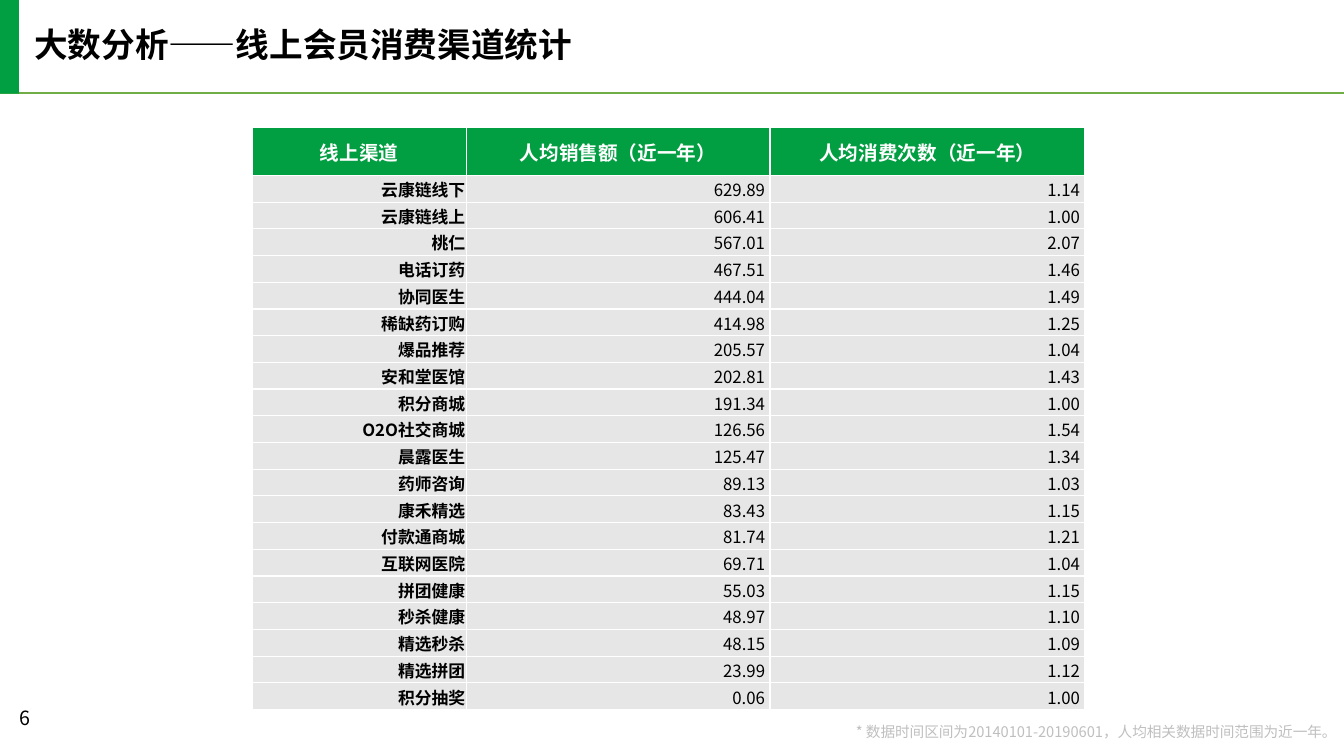
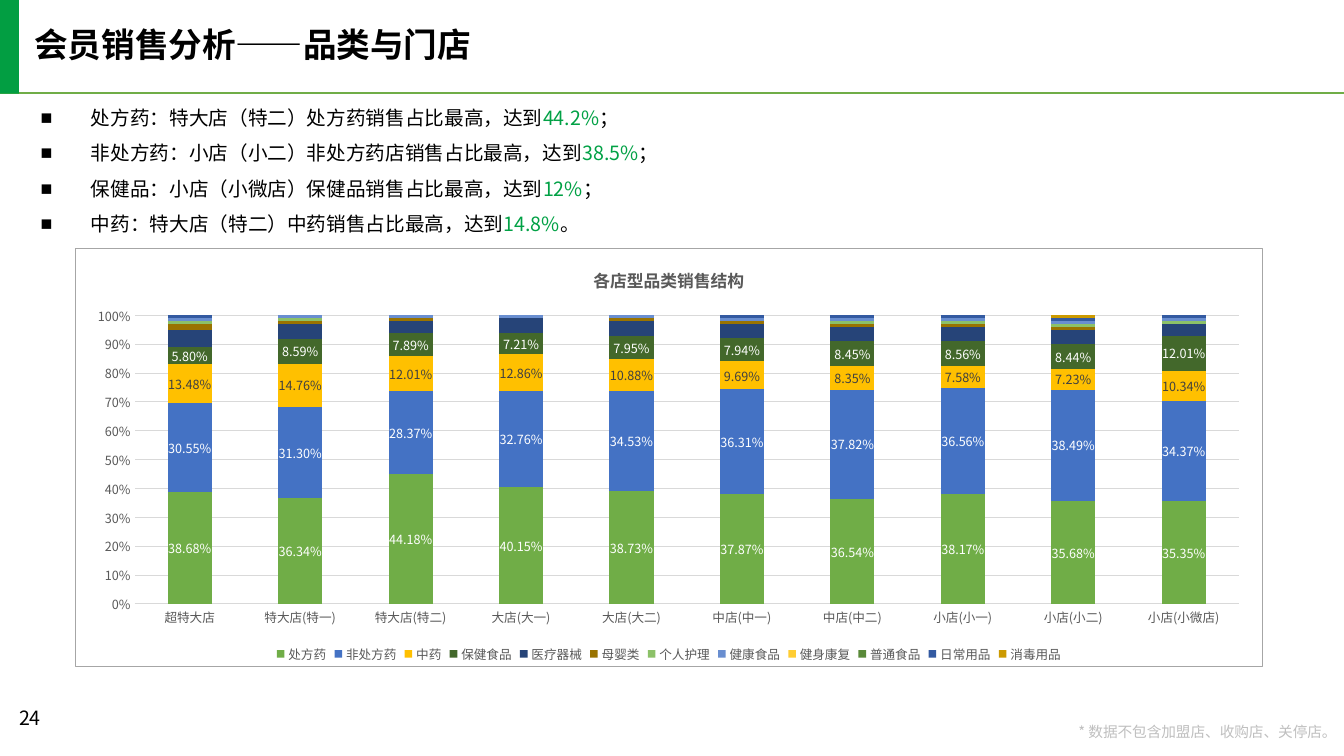
import dataclasses

import lxml.etree
import pptx
import pptx.chart.data
import pptx.dml.color
import pptx.enum.chart
import pptx.enum.shapes
import pptx.enum.text
import pptx.oxml
import pptx.oxml.ns
import pptx.util

Pt = pptx.util.Pt
rgb = pptx.dml.color.RGBColor.from_string
qn = pptx.oxml.ns.qn
align = pptx.enum.text.PP_ALIGN
anchor = pptx.enum.text.MSO_ANCHOR
autosize = pptx.enum.text.MSO_AUTO_SIZE


@dataclasses.dataclass(frozen=True)
class Theme:
    font: str = "Noto Sans CJK SC"
    green: str = "029E42"
    highlight: str = "01A145"
    rule: str = "70AD47"
    black: str = "000000"
    white: str = "FFFFFF"
    cell: str = "E7E6E6"
    note: str = "BFBFBF"
    label: str = "595959"
    dark_label: str = "404040"
    grid: str = "D9D9D9"
    frame: str = "A6A6A6"
    title_size: float = 24
    text_size: float = 14
    table_size: float = 12
    note_size: float = 10.5
    chart_size: float = 9


theme = Theme()
NO_INSETS = dict.fromkeys(("margin_left", "margin_top", "margin_right", "margin_bottom"), 0)


def style(font, size, colour, bold=False):
    for attribute, value in {"name": theme.font, "size": Pt(size), "bold": bold}.items():
        setattr(font, attribute, value)
    font.color.rgb = rgb(colour)
    latin = font._rPr.find(qn("a:latin"))
    east_asian = lxml.etree.Element(qn("a:ea"), typeface=theme.font)
    latin.addnext(east_asian)


def add_page(layout, heading, number, note, note_width):
    slide = deck.slides.add_slide(deck.slide_layouts[layout])

    rule = slide.shapes.add_connector(
        pptx.enum.shapes.MSO_CONNECTOR.STRAIGHT, 0, Pt(66.2), deck.slide_width, Pt(66.2))
    rule.line.color.rgb = rgb(theme.rule)
    rule.line.width = Pt(1.5)
    lxml.etree.SubElement(rule.element.spPr, qn("a:effectLst"))

    band = slide.shapes.add_shape(
        pptx.enum.shapes.MSO_SHAPE.RECTANGLE, 0, 0, Pt(13.5), Pt(67))
    band.shadow.inherit = False
    band.fill.solid()
    band.fill.fore_color.rgb = rgb(theme.green)
    band.line.fill.background()

    title = slide.shapes.title
    for attribute, value in {"left": 24.5, "top": 20, "width": 453, "height": 26}.items():
        setattr(title, attribute, Pt(value))
    title_format = {**NO_INSETS, "word_wrap": True, "auto_size": autosize.NONE,
                    "vertical_anchor": anchor.TOP}
    for attribute, value in title_format.items():
        setattr(title.text_frame, attribute, value)

    page_number = slide.shapes.add_textbox(Pt(6.5), Pt(500.5), Pt(65.5), Pt(29))
    page_number.text_frame.word_wrap = True

    footnote = slide.shapes.add_textbox(
        Pt(955 - note_width), Pt(517.5), Pt(note_width), Pt(11.5))
    note_format = {**NO_INSETS, "word_wrap": False, "auto_size": autosize.SHAPE_TO_FIT_TEXT}
    for attribute, value in note_format.items():
        setattr(footnote.text_frame, attribute, value)

    for part, text, size, colour, bold, alignment, spacing in (
        (title, heading, theme.title_size, theme.black, True, align.LEFT, 0.9),
        (page_number, number, theme.text_size, theme.black, False, align.LEFT, 1),
        (footnote, note, theme.note_size, theme.note, False, align.RIGHT, 0.9),
    ):
        paragraph = part.text_frame.paragraphs[0]
        paragraph.alignment = alignment
        paragraph.line_spacing = spacing
        run = paragraph.add_run()
        run.text = text
        style(run.font, size, colour, bold)
    return slide


deck = pptx.Presentation()
deck.slide_width = Pt(960)
deck.slide_height = Pt(540)

channel_slide = add_page(
    5, "大数分析——线上会员消费渠道统计", "6",
    "* 数据时间区间为20140101-20190601，人均相关数据时间范围为近一年。", 355)

channel_rows = [
    ("线上渠道", "人均销售额（近一年）", "人均消费次数（近一年）"),
    ("云康链线下", "629.89", "1.14"),
    ("云康链线上", "606.41", "1.00"),
    ("桃仁", "567.01", "2.07"),
    ("电话订药", "467.51", "1.46"),
    ("协同医生", "444.04", "1.49"),
    ("稀缺药订购", "414.98", "1.25"),
    ("爆品推荐", "205.57", "1.04"),
    ("安和堂医馆", "202.81", "1.43"),
    ("积分商城", "191.34", "1.00"),
    ("O2O社交商城", "126.56", "1.54"),
    ("晨露医生", "125.47", "1.34"),
    ("药师咨询", "89.13", "1.03"),
    ("康禾精选", "83.43", "1.15"),
    ("付款通商城", "81.74", "1.21"),
    ("互联网医院", "69.71", "1.04"),
    ("拼团健康", "55.03", "1.15"),
    ("秒杀健康", "48.97", "1.10"),
    ("精选秒杀", "48.15", "1.09"),
    ("精选拼团", "23.99", "1.12"),
    ("积分抽奖", "0.06", "1.00"),
]
column_widths = (153, 217, 225)
header_height, row_height = 34.6, 19.08
channel_table = channel_slide.shapes.add_table(
    len(channel_rows), len(column_widths), Pt(180), Pt(90.7), Pt(sum(column_widths)),
    Pt(header_height + row_height * (len(channel_rows) - 1))).table
channel_table.horz_banding = False
for column, width in zip(channel_table.columns, column_widths):
    column.width = Pt(width)

for row_index, row_texts in enumerate(channel_rows):
    is_header = row_index == 0
    channel_table.rows[row_index].height = Pt(header_height if is_header else row_height)
    for column_index, text in enumerate(row_texts):
        is_number = not is_header and column_index > 0
        cell = channel_table.cell(row_index, column_index)
        cell_format = {
            "margin_left": Pt(0.7), "margin_top": Pt(0.7), "margin_bottom": 0,
            "margin_right": Pt(3.5 if is_number else 0.7), "vertical_anchor": anchor.MIDDLE,
        }
        for attribute, value in cell_format.items():
            setattr(cell, attribute, value)
        cell.fill.solid()
        cell.fill.fore_color.rgb = rgb(theme.green if is_header else theme.cell)
        properties = cell._tc.get_or_add_tcPr()
        for position, side in enumerate(("a:lnL", "a:lnR", "a:lnT", "a:lnB")):
            border = lxml.etree.Element(qn(side), w=str(Pt(1)))
            border_fill = lxml.etree.SubElement(border, qn("a:solidFill"))
            lxml.etree.SubElement(border_fill, qn("a:srgbClr"), val=theme.white)
            properties.insert(position, border)
        paragraph = cell.text_frame.paragraphs[0]
        paragraph.alignment = align.CENTER if is_header else align.RIGHT
        run = paragraph.add_run()
        run.text = text
        style(run.font, theme.text_size if is_header else theme.table_size,
              theme.white if is_header else theme.black, not is_number)

category_slide = add_page(
    1, "会员销售分析——品类与门店", "24", "* 数据不包含加盟店、收购店、关停店。", 188)

findings = [
    ("处方药：特大店（特二）处方药销售占比最高，达到", "44.2%", "；"),
    ("非处方药：小店（小二）非处方药店销售占比最高，达到", "38.5%", "；"),
    ("保健品：小店（小微店）保健品销售占比最高，达到", "12%", "；"),
    ("中药：特大店（特二）中药销售占比最高，达到", "14.8%", "。"),
]
summary = category_slide.placeholders[1]
for attribute, value in {"left": 29, "top": 67, "width": 898, "height": 101.5}.items():
    setattr(summary, attribute, Pt(value))
summary_format = {**NO_INSETS, "word_wrap": True, "auto_size": autosize.SHAPE_TO_FIT_TEXT,
                  "vertical_anchor": anchor.MIDDLE}
for attribute, value in summary_format.items():
    setattr(summary.text_frame, attribute, value)
for index, finding in enumerate(findings):
    paragraph = summary.text_frame.add_paragraph() if index else summary.text_frame.paragraphs[0]
    properties = paragraph._p.get_or_add_pPr()
    properties.set("marL", str(Pt(36)))
    properties.set("indent", str(-Pt(36)))
    lxml.etree.SubElement(properties, qn("a:buFont"), typeface="Arial")
    lxml.etree.SubElement(properties, qn("a:buChar"), char="■")
    paragraph_format = {"alignment": align.LEFT, "line_spacing": 1.5, "space_before": Pt(0)}
    for attribute, value in paragraph_format.items():
        setattr(paragraph, attribute, value)
    for text, colour in zip(finding, (theme.black, theme.highlight, theme.black)):
        run = paragraph.add_run()
        run.text = text
        style(run.font, theme.text_size, colour)

store_types = ["超特大店", "特大店(特一)", "特大店(特二)", "大店(大一)", "大店(大二)",
               "中店(中一)", "中店(中二)", "小店(小一)", "小店(小二)", "小店(小微店)"]
product_shares = [
    ("处方药", "70AD47", theme.white,
     (0.3868, 0.3634, 0.4418, 0.4015, 0.3873, 0.3787, 0.3654, 0.3817, 0.3568, 0.3535)),
    ("非处方药", "4472C4", theme.white,
     (0.3055, 0.313, 0.2837, 0.3276, 0.3453, 0.3631, 0.3782, 0.3656, 0.3849, 0.3437)),
    ("中药", "FFC000", theme.dark_label,
     (0.1348, 0.1476, 0.1201, 0.1286, 0.1088, 0.0969, 0.0835, 0.0758, 0.0723, 0.1034)),
    ("保健食品", "43682B", theme.white,
     (0.058, 0.0859, 0.0789, 0.0721, 0.0795, 0.0794, 0.0845, 0.0856, 0.0844, 0.1201)),
    ("医疗器械", "264478", None,
     (0.06, 0.05, 0.04, 0.05, 0.05, 0.05, 0.05, 0.05, 0.05, 0.04)),
    ("母婴类", "997300", None, (0.02, 0.01, 0.01, 0, 0.01, 0.01, 0.01, 0.01, 0.01, 0)),
    ("个人护理", "8CC168", None, (0.01, 0.01, 0, 0, 0, 0, 0.01, 0.01, 0.01, 0.01)),
    ("健康食品", "698ED0", None, (0.01,) * 10),
    ("健身康复", "FFCD33", None, (0,) * 10),
    ("普通食品", "5A8A39", None, (0,) * 10),
    ("日常用品", "335AA1", None, (0.01, 0, 0, 0, 0, 0.01, 0.01, 0.01, 0.01, 0.01)),
    ("消毒用品", "CC9A00", None, (0, 0, 0, 0, 0, 0, 0, 0, 0.01, 0)),
]
share_data = pptx.chart.data.CategoryChartData(number_format="0.00%")
share_data.categories = store_types
for product, colour, label_colour, shares in product_shares:
    share_data.add_series(product, shares)
share_chart = category_slide.shapes.add_chart(
    pptx.enum.chart.XL_CHART_TYPE.COLUMN_STACKED_100,
    Pt(53.3), Pt(177.1), Pt(849), Pt(299.5), share_data).chart
style(share_chart.font, theme.chart_size, theme.label)

share_chart.has_title = True
share_chart.chart_title.include_in_layout = False
chart_heading = share_chart.chart_title.text_frame.paragraphs[0].add_run()
chart_heading.text = "各店型品类销售结构"
style(chart_heading.font, theme.table_size, theme.label, True)

share_chart.has_legend = True
share_chart.legend.position = pptx.enum.chart.XL_LEGEND_POSITION.BOTTOM
share_chart.legend.include_in_layout = False
style(share_chart.legend.font, theme.chart_size, theme.label)

store_axis, share_axis = share_chart.category_axis, share_chart.value_axis
for axis in (store_axis, share_axis):
    axis.major_tick_mark = pptx.enum.chart.XL_TICK_MARK.NONE
    axis.minor_tick_mark = pptx.enum.chart.XL_TICK_MARK.NONE
    style(axis.tick_labels.font, theme.chart_size, theme.label)
for attribute, value in {"minimum_scale": 0, "maximum_scale": 1, "major_unit": 0.1}.items():
    setattr(share_axis, attribute, value)
share_axis.tick_labels.number_format = "0%"
share_axis.tick_labels.number_format_is_linked = False
share_axis.format.line.fill.background()
for line in (store_axis.format.line, share_axis.major_gridlines.format.line):
    line.color.rgb = rgb(theme.grid)
    line.width = Pt(0.75)

columns = share_chart.plots[0]
for attribute, value in {"gap_width": 150, "overlap": 100, "vary_by_categories": False}.items():
    setattr(columns, attribute, value)
for series, (product, colour, label_colour, shares) in zip(columns.series, product_shares):
    series.format.fill.solid()
    series.format.fill.fore_color.rgb = rgb(colour)
    if label_colour:
        label_format = {"show_value": True, "number_format": "0.00%",
                        "number_format_is_linked": False,
                        "position": pptx.enum.chart.XL_LABEL_POSITION.CENTER}
        for attribute, value in label_format.items():
            setattr(series.data_labels, attribute, value)
        style(series.data_labels.font, theme.chart_size, label_colour)

chart_body = share_chart.element.find(qn("c:chart"))
plot_area = chart_body.find(qn("c:plotArea"))
for automatic_layout in plot_area.findall(qn("c:layout")):
    plot_area.remove(automatic_layout)
plot_layout = lxml.etree.Element(qn("c:layout"))
manual_layout = lxml.etree.SubElement(plot_layout, qn("c:manualLayout"))
for tag, value in {"layoutTarget": "inner", "xMode": "edge", "yMode": "edge",
                   "x": "0.05", "y": "0.16", "w": "0.93", "h": "0.69"}.items():
    lxml.etree.SubElement(manual_layout, qn("c:" + tag), val=value)
plot_area.insert(0, plot_layout)

chart_body.addnext(pptx.oxml.parse_xml(
    f'<c:spPr {pptx.oxml.ns.nsdecls("c", "a")}>'
    f'<a:solidFill><a:srgbClr val="{theme.white}"/></a:solidFill>'
    f'<a:ln w="{Pt(0.75)}"><a:solidFill><a:srgbClr val="{theme.frame}"/></a:solidFill></a:ln>'
    '</c:spPr>'))

deck.save("out.pptx")
